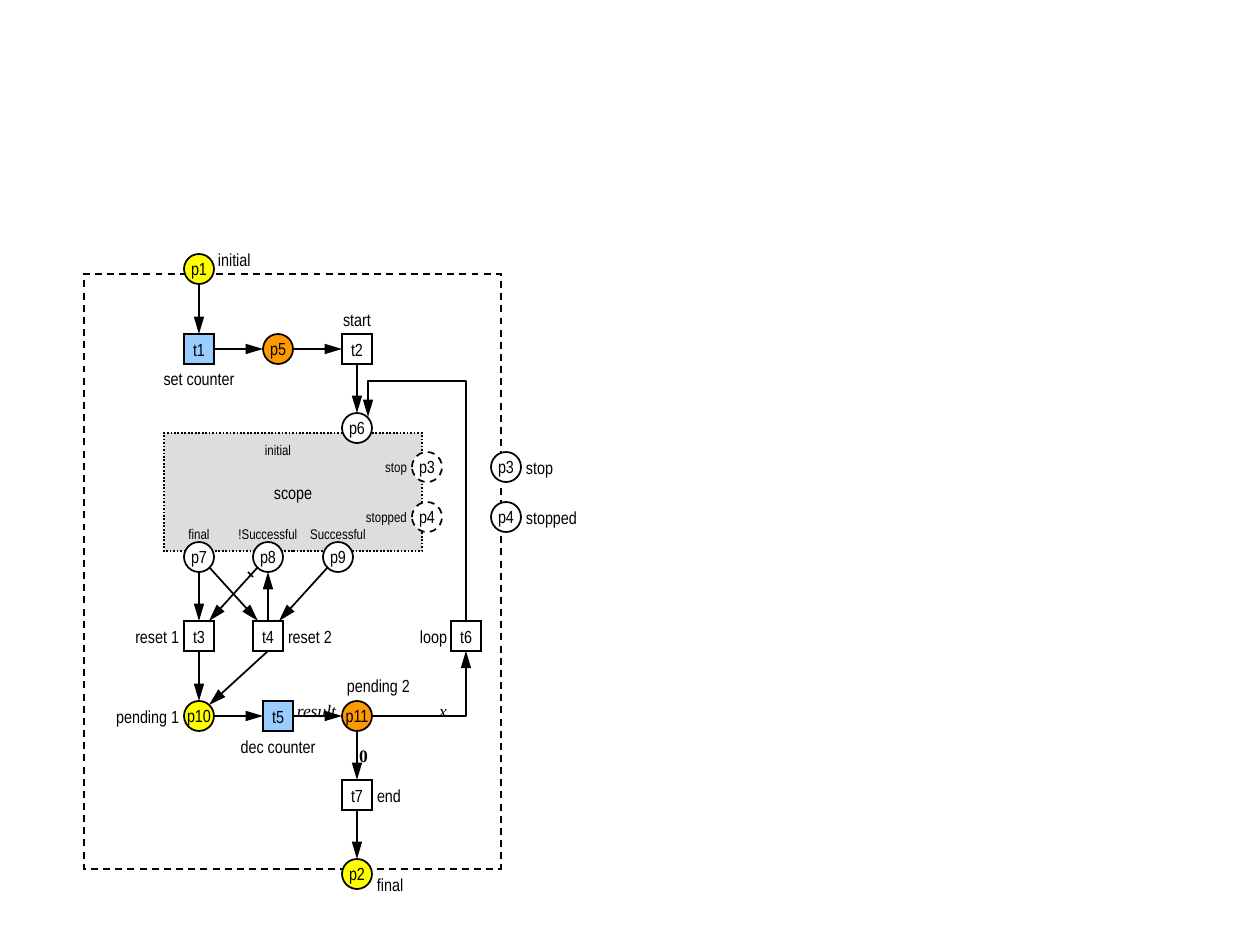
"""Draw the Petri net of a counted loop around a scope."""
from lxml.etree import SubElement
from pptx import Presentation
from pptx.dml.color import RGBColor as RGB
from pptx.enum.dml import MSO_LINE as Dash
from pptx.enum.shapes import MSO_CONNECTOR as Conn, MSO_SHAPE as Kind
from pptx.enum.text import MSO_ANCHOR as Anchor, PP_ALIGN as Align
from pptx.oxml.ns import qn
from pptx.util import Emu, Pt

PX = 914400 / 126
SIDE = 30
HUES = {"ink": "000000", "white": "FFFFFF", "grey": "DDDDDD",
        "yellow": "FFFF00", "orange": "FF9900", "blue": "99CCFF"}
SANS, SERIF = "Arial Narrow", "Times New Roman"
LEFT, MID, RIGHT = Align.LEFT, Align.CENTER, Align.RIGHT


def write(shape, text, align=MID, anchor=Anchor.MIDDLE, pad=(13, 6), **font):
    frame = shape.text_frame
    across, down = (Emu(round(n * PX)) for n in pad)
    form = {"word_wrap": False, "vertical_anchor": anchor,
            "margin_left": across, "margin_right": across,
            "margin_top": down, "margin_bottom": down}
    for key, val in form.items():
        setattr(frame, key, val)
    para = frame.paragraphs[0]
    para.alignment = align
    run = para.add_run()
    run.text = text
    for key, val in ({"name": SANS, "size": Pt(10)} | font).items():
        setattr(run.font, key, val)
    run.font.color.rgb = RGB.from_string(HUES["ink"])


def link(ends, kind=Conn.STRAIGHT, head=True):
    line = slide.shapes.add_connector(kind, *(Emu(round(n * PX)) for n in ends))
    line.line.width = Pt(1)
    line.line.color.rgb = RGB.from_string(HUES["ink"])
    if head:
        SubElement(line.line._get_or_add_ln(), qn("a:tailEnd"),
                   type="triangle", w="med", len="lg")
    SubElement(line._element.spPr, qn("a:effectLst"))
    return line


deck = Presentation()
deck.slide_width, deck.slide_height = Emu(9144000), Emu(6858000)
slide = deck.slides.add_slide(deck.slide_layouts[6])

BOX, RING = Kind.RECTANGLE, Kind.OVAL
parts = [
    (BOX, 84, 274, 417, 595, None, Dash.DASH, ""),
    (BOX, 164, 433, 258, 118, "grey", Dash.ROUND_DOT, "scope"),
]
nodes = [
    ("p1", 199, 269, "yellow"), ("t1", 199, 349, "blue"),
    ("p5", 278, 349, "orange"), ("t2", 357, 349, "white"),
    ("p6", 357, 428, "white"), ("p7", 199, 557, "white"),
    ("p8", 268, 557, "white"), ("p9", 338, 557, "white"),
    ("t3", 199, 636, "white"), ("t4", 268, 636, "white"),
    ("t6", 466, 636, "white"), ("p10", 199, 716, "yellow"),
    ("t5", 278, 716, "blue"), ("p11", 357, 716, "orange"),
    ("t7", 357, 795, "white"), ("p2", 357, 874, "yellow"),
    ("p3", 427, 467, "white"), ("p4", 427, 517, "white"),
    ("p3", 506, 467, "white"), ("p4", 506, 517, "white"),
]
for name, x, y, hue in nodes:
    kind = RING if name[0] == "p" else BOX
    dash = Dash.DASH if x == 427 else None
    parts.append((kind, x - SIDE // 2, y - SIDE // 2, SIDE, SIDE, hue, dash, name))

for kind, *place, hue, dash, name in parts:
    part = slide.shapes.add_shape(kind, *(Emu(round(n * PX)) for n in place))
    part.shadow.inherit = False
    if hue:
        part.fill.solid()
        part.fill.fore_color.rgb = RGB.from_string(HUES[hue])
    else:
        part.fill.background()
    part.line.color.rgb = RGB.from_string(HUES["ink"])
    part.line.width = Pt(1)
    if dash:
        part.line.dash_style = dash
    SubElement(part.line._get_or_add_ln(), qn("a:miter"), lim="800000")
    if name:
        write(part, name)

arcs = [
    (199, 284, 199, 334), (214, 349, 263, 349), (293, 349, 342, 349),
    (357, 364, 357, 413), (199, 572, 199, 621), (268, 621, 268, 572),
    (258, 567, 209, 621), (328, 567, 279, 621), (209, 567, 258, 621),
    (199, 651, 199, 701), (268, 651, 209, 705), (214, 716, 263, 716),
    (293, 716, 342, 716), (357, 731, 357, 780), (357, 810, 357, 859),
]
for arc in arcs:
    link(arc)
link((248, 572, 253, 577), head=False)

turn = link((372, 716, 466, 651), Conn.ELBOW)
turn._element.spPr.prstGeom.set("prst", "bentConnector2")

back = link((315, 568, 519, 470), Conn.ELBOW)
back._element.spPr.xfrm.set("rot", "16200000")
bends = back._element.spPr.prstGeom.get_or_add_avLst()
SubElement(bends, qn("a:gd"), name="adj1", fmla="val 117600")

SMALL = {"size": Pt(8)}
LOW = {"anchor": Anchor.BOTTOM}
MATH = {"name": SERIF, "italic": True, "pad": (35, 15)} | LOW
notes = [
    ("initial", 263, 442, 30, 30, MID, SMALL | {"anchor": Anchor.TOP}),
    ("final", 184, 512, 30, 30, MID, SMALL | LOW),
    ("!Successful", 253, 512, 30, 30, MID, SMALL | LOW),
    ("Successful", 323, 512, 30, 30, MID, SMALL | LOW),
    ("stop", 382, 452, 30, 30, RIGHT, SMALL),
    ("stopped", 382, 502, 30, 30, RIGHT, SMALL),
    ("stop", 521, 452, 39, 30, LEFT, {}),
    ("stopped", 521, 502, 39, 30, LEFT, {}),
    ("initial", 213, 244, 39, 30, LEFT, {}),
    ("final", 372, 869, 39, 30, LEFT, {}),
    ("reset 1", 154, 621, 30, 30, RIGHT, {}),
    ("reset 2", 283, 621, 30, 30, LEFT, {}),
    ("loop", 422, 621, 30, 30, RIGHT, {}),
    ("set counter", 184, 363, 30, 30, MID, {}),
    ("start", 342, 304, 30, 30, MID, {}),
    ("pending 1", 154, 701, 30, 30, RIGHT, {}),
    ("dec counter", 263, 731, 30, 30, MID, {}),
    ("end", 372, 780, 30, 30, LEFT, {}),
    ("pending 2", 342, 670, 30, 30, LEFT, {}),
    ("result", 292, 687, 49, 49, MID, MATH),
    ("x", 412, 687, 49, 49, RIGHT, MATH),
    ("0", 333, 731, 39, 49, RIGHT, {"name": SERIF, "bold": True, "pad": (35, 0)}),
]
for text, *place, align, form in notes:
    note = slide.shapes.add_shape(BOX, *(Emu(round(n * PX)) for n in place))
    note.shadow.inherit = False
    note.fill.background()
    note.line.fill.background()
    write(note, text, align, **({"pad": (5, 0)} | form))

deck.save("out.pptx")
